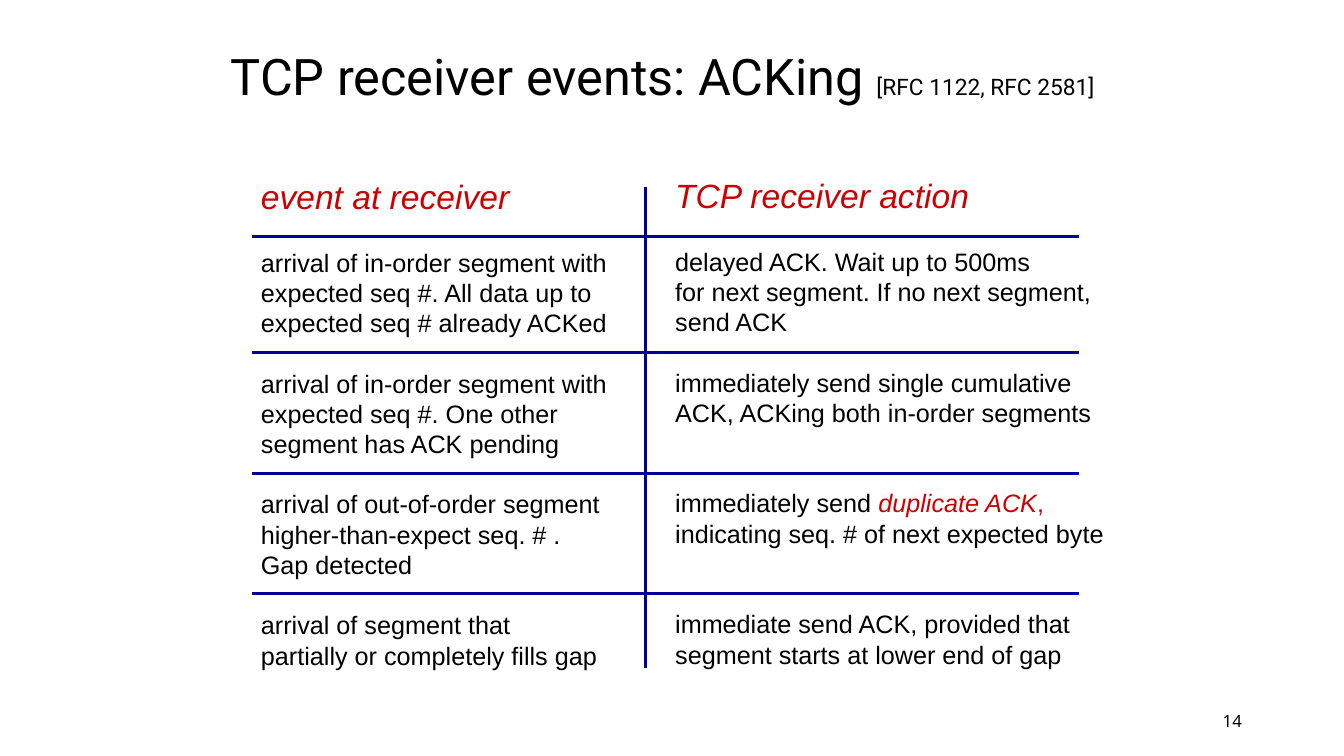
from lxml.etree import SubElement
from pptx import Presentation
from pptx.dml.color import RGBColor
from pptx.enum.shapes import MSO_CONNECTOR
from pptx.enum.text import MSO_ANCHOR, PP_ALIGN
from pptx.oxml.ns import qn
from pptx.util import Pt

BLACK = RGBColor(0x00, 0x00, 0x00)
RED = RGBColor(0xCC, 0x00, 0x00)
NAVY = RGBColor(0x00, 0x00, 0x99)

HEADER_PITCH = 28.8
LINE_PITCH = 21.6
LINES_PER_ROW = 4

EVENTS = [
    ["arrival of in-order segment with", "expected seq #. All data up to",
     "expected seq # already ACKed"],
    ["arrival of in-order segment with", "expected seq #. One other",
     "segment has ACK pending"],
    ["arrival of out-of-order segment", "higher-than-expect seq. # .",
     "Gap detected"],
    ["arrival of segment that", "partially or completely fills gap"],
]
ACTIONS = [
    ["delayed ACK. Wait up to 500ms", "for next segment. If no next segment,",
     "send ACK"],
    ["immediately send single cumulative", "ACK, ACKing both in-order segments"],
    [[("immediately send ", BLACK, False), ("duplicate ACK", RED, True),
      (",", RED, False)],
     "indicating seq. # of next expected byte"],
    ["immediate send ACK, provided that", "segment starts at lower end of gap"],
]


def add_text_frame(slide, left, top, width, height, anchor, wrap=True):
    box = slide.shapes.add_textbox(Pt(left), Pt(top), Pt(width), Pt(height))
    box.text_frame.word_wrap = wrap
    box.text_frame.vertical_anchor = anchor
    return box.text_frame


def style(font, size, name, color=BLACK, italic=False):
    font.size = Pt(size)
    font.name = name
    font.color.rgb = color
    font.italic = italic


def add_title(slide):
    frame = add_text_frame(slide, 157.7, 30.2, 668.9, 52.6, MSO_ANCHOR.MIDDLE)
    paragraph = frame.paragraphs[0]
    paragraph.line_spacing = 0.9
    for text, size in (("TCP receiver events: ACKing ", 36),
                       ("[RFC 1122, RFC 2581]", 16.2)):
        run = paragraph.add_run()
        run.text = text
        style(run.font, size, "Roboto")


def add_page_number(slide, number):
    frame = add_text_frame(slide, 678.2, 500.4, 216, 28.8, MSO_ANCHOR.MIDDLE)
    paragraph = frame.paragraphs[0]
    paragraph.text = number
    paragraph.alignment = PP_ALIGN.RIGHT
    style(paragraph.font, 12, "Noto Sans")


def add_line(frame, line, space_before):
    paragraph = frame.add_paragraph()
    paragraph.line_spacing = Pt(LINE_PITCH)
    paragraph.space_before = Pt(space_before)
    if isinstance(line, str):
        paragraph.text = line
        style(paragraph.font, 18, "Arial")
        return
    for text, color, italic in line:
        run = paragraph.add_run()
        run.text = text
        style(run.font, 18, "Arial", color, italic)


def add_column(slide, left, top, width, heading, rows):
    frame = add_text_frame(slide, left, top, width, 393.8, MSO_ANCHOR.TOP, wrap=False)
    header = frame.paragraphs[0]
    header.text = heading
    header.line_spacing = Pt(HEADER_PITCH)
    style(header.font, 24, "Arial", RED, True)
    blank_lines = 1
    for row in rows:
        for index, line in enumerate(row):
            add_line(frame, line, 0 if index else blank_lines * LINE_PITCH)
        blank_lines = LINES_PER_ROW - len(row)


def add_rule(slide, start_x, start_y, end_x, end_y):
    rule = slide.shapes.add_connector(
        MSO_CONNECTOR.STRAIGHT, Pt(start_x), Pt(start_y), Pt(end_x), Pt(end_y))
    rule.line.color.rgb = NAVY
    rule.line.width = Pt(2.25)
    SubElement(rule._element.spPr, qn("a:effectLst"))


def main():
    presentation = Presentation()
    presentation.slide_width = Pt(960)
    presentation.slide_height = Pt(540)
    slide = presentation.slides.add_slide(presentation.slide_layouts[6])

    add_page_number(slide, "14")
    add_title(slide)
    add_column(slide, 179.3, 122.4, 262.8, "event at receiver", EVENTS)
    add_column(slide, 475.2, 121.7, 320.4, "TCP receiver action", ACTIONS)
    add_rule(slide, 460.8, 133.9, 460.8, 477.4)
    for y in (169.2, 252, 338.4, 424.1):
        add_rule(slide, 180.3, y, 770.4, y)

    presentation.save("out.pptx")


main()
